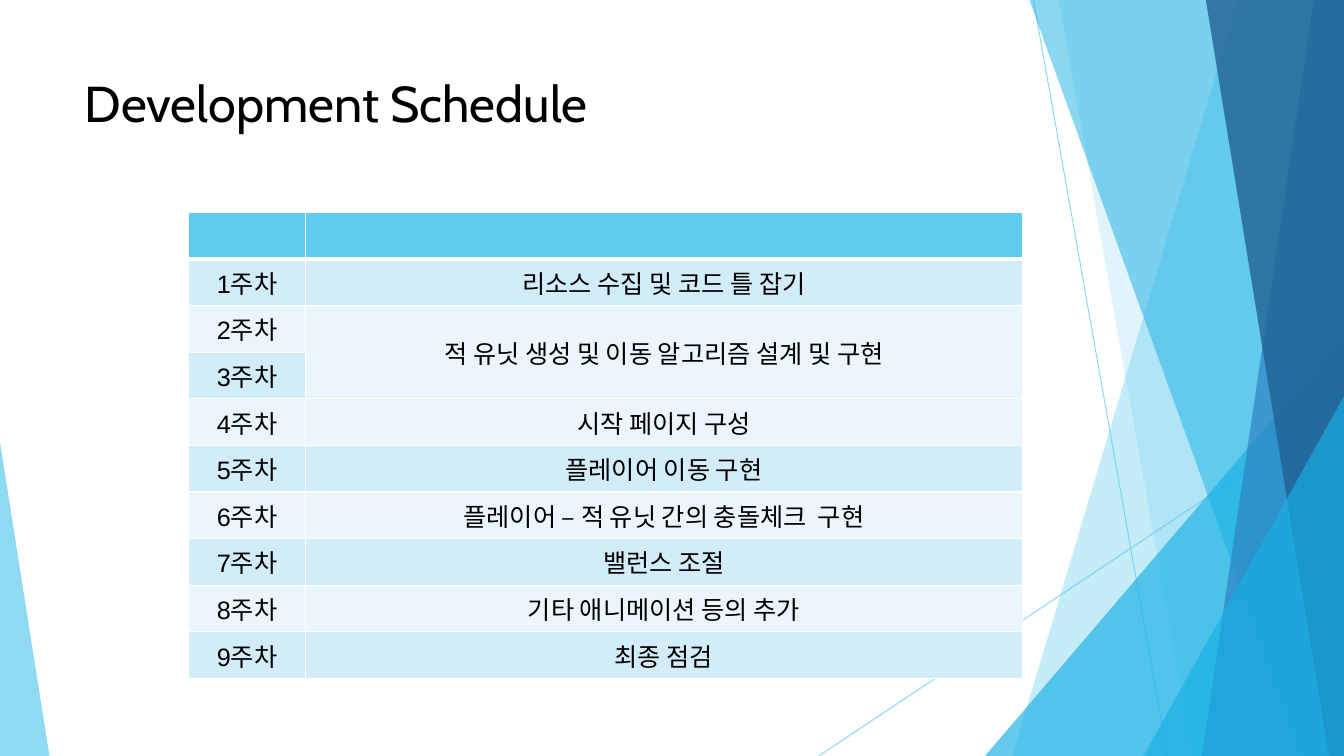
"""Build the development schedule slide with its faceted blue side decoration."""
from lxml.etree import SubElement
from pptx import Presentation
from pptx.dml.color import RGBColor
from pptx.enum.shapes import MSO_CONNECTOR, MSO_SHAPE
from pptx.enum.text import MSO_ANCHOR, PP_ALIGN
from pptx.oxml.ns import qn
from pptx.util import Inches, Pt

TITLE = "Development Schedule"
TASKS = [
    ("리소스 수집 및 코드 틀 잡기", 1),
    ("적 유닛 생성 및 이동 알고리즘 설계 및 구현", 2),
    ("시작 페이지 구성", 1),
    ("플레이어 이동 구현", 1),
    ("플레이어 – 적 유닛 간의 충돌체크  구현", 1),
    ("밸런스 조절", 1),
    ("기타 애니메이션 등의 추가", 1),
    ("최종 점검", 1),
]
COLORS = {
    "sky": "5FCBEF", "cyan": "17B0E4", "blue": "2E83C3", "navy": "226292",
    "odd": "D2ECF9", "even": "EAF6FC", "white": "FFFFFF", "black": "000000",
}
WIDTH, HEIGHT = 13.33, 7.5
RAYS = [((10.25, 0), (11.58, HEIGHT)), ((WIDTH, 4.03), (8.12, HEIGHT))]
# Each band gives its left edge at top and bottom; each triangle its left, top, width and apex.
FACETS = [
    ("band", (12.28, 10.04), "sky", 36),
    ("band", (10.5, 11.83), "sky", 20),
    ("triangle", (9.77, 3.33, 3.56, 1), "cyan", 66),
    ("band", (10.21, 12.91), "cyan", 50),
    ("band", (13.03, 11.92), "blue", 70),
    ("band", (11.96, 13.18), "navy", 80),
    ("triangle", (11.34, 3.93, 1.99, 1), "cyan", 66),
    ("triangle", (0, 4.39, 0.49, 0), "sky", 70),
]
TABLE_LEFT, TABLE_TOP, ROW_HEIGHT = 1.87, 2.11, 0.46
COLUMNS = (1.16, 7.11)


def color(name):
    return RGBColor.from_string(COLORS[name])


def set_opacity(shape, percent):
    for node in shape._element.spPr.iter(qn("a:srgbClr")):
        SubElement(node, qn("a:alpha"), val=str(percent * 1000))


def add_ray(page, start, end):
    ray = page.shapes.add_connector(
        MSO_CONNECTOR.STRAIGHT, *(Inches(value) for value in start + end))
    ray.line.color.rgb = color("sky")
    ray.line.width = Pt(0.75)
    set_opacity(ray, 70)
    SubElement(ray._element.spPr, qn("a:effectLst"))


def add_facet(page, kind, place, fill, opacity):
    if kind == "band":
        top_left, bottom_left = place
        corners = [(WIDTH, 0), (WIDTH, HEIGHT), (bottom_left, HEIGHT)]
        builder = page.shapes.build_freeform(Inches(top_left), 0)
        builder.add_line_segments([(Inches(x), Inches(y)) for x, y in corners])
        facet = builder.convert_to_shape()
    else:
        left, top, width, apex = place
        facet = page.shapes.add_shape(
            MSO_SHAPE.ISOSCELES_TRIANGLE,
            *(Inches(value) for value in (left, top, width, HEIGHT - top)))
        facet.adjustments[0] = apex
    facet.shadow.inherit = False
    facet.fill.solid()
    facet.fill.fore_color.rgb = color(fill)
    facet.line.fill.background()
    set_opacity(facet, opacity)


def style_cell(cell, row):
    properties = cell._tc.get_or_add_tcPr()
    for side in ("lnL", "lnR", "lnT", "lnB"):
        heavy = (row, side) in ((0, "lnB"), (1, "lnT"))
        border = SubElement(properties, qn(f"a:{side}"), w=str(Pt(3 if heavy else 1)))
        paint = SubElement(border, qn("a:solidFill"))
        SubElement(paint, qn("a:srgbClr"), val=COLORS["white"])
    cell.fill.solid()
    cell.fill.fore_color.rgb = color("sky" if row == 0 else "odd" if row % 2 else "even")


def write_cell(cell, text):
    cell.text = text
    para = cell.text_frame.paragraphs[0]
    para.alignment = PP_ALIGN.CENTER
    para.font.size = Pt(18)
    para.font.name = "Arial"
    para.font.color.rgb = color("black")


def add_schedule(page):
    weeks = sum(span for _, span in TASKS)
    table = page.shapes.add_table(
        weeks + 1, len(COLUMNS), Inches(TABLE_LEFT), Inches(TABLE_TOP),
        Inches(sum(COLUMNS)), Inches(ROW_HEIGHT * (weeks + 1))).table
    for column, width in zip(table.columns, COLUMNS):
        column.width = Inches(width)
    for index, row in enumerate(table.rows):
        row.height = Inches(ROW_HEIGHT)
        for cell in row.cells:
            style_cell(cell, index)
        if index:
            write_cell(row.cells[0], f"{index}주차")
    week = 1
    for task, span in TASKS:
        cell = table.cell(week, 1)
        write_cell(cell, task)
        if span > 1:
            cell.merge(table.cell(week + span - 1, 1))
            cell.vertical_anchor = MSO_ANCHOR.MIDDLE
        week += span


def add_title(page):
    title = page.shapes.title
    title.left, title.top, title.width, title.height = (
        Inches(value) for value in (0.74, 0.67, 9.4, 1.44))
    title.text = TITLE
    title.text_frame.vertical_anchor = MSO_ANCHOR.TOP
    para = title.text_frame.paragraphs[0]
    para.alignment = PP_ALIGN.LEFT
    para.font.size = Pt(36)
    para.font.name = "Cabin"
    para.font.color.rgb = color("black")


def main():
    deck = Presentation()
    deck.slide_width, deck.slide_height = Inches(WIDTH), Inches(HEIGHT)
    page = deck.slides.add_slide(deck.slide_layouts.get_by_name("Title Only"))
    for start, end in RAYS:
        add_ray(page, start, end)
    for facet in FACETS:
        add_facet(page, *facet)
    add_title(page)
    add_schedule(page)
    deck.save("out.pptx")


if __name__ == "__main__":
    main()
